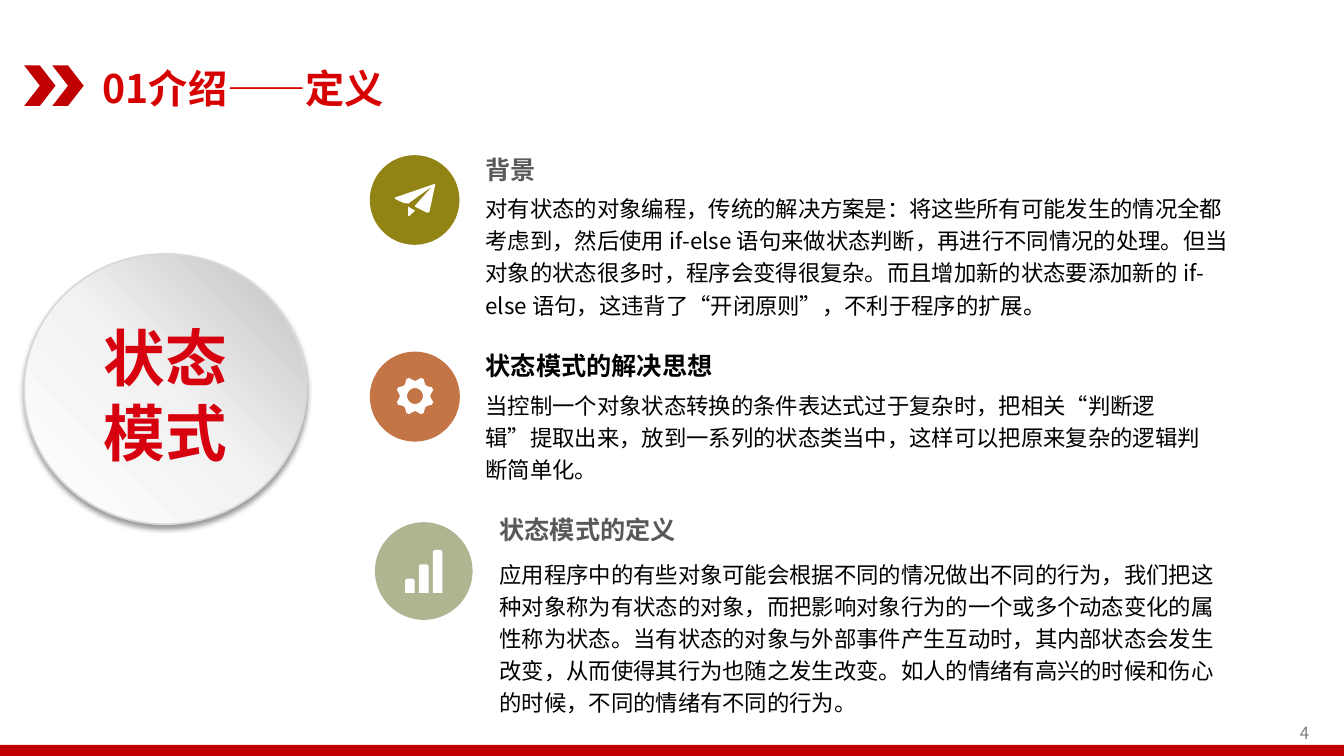
from copy import deepcopy
from math import cos, sin, radians
from pptx import Presentation
from pptx.dml.color import RGBColor
from pptx.enum import shapes, text
from pptx.oxml import parse_xml
from pptx.oxml.ns import qn, nsdecls
from pptx.util import Cm, Pt

SANS = "Noto Sans CJK SC"
KIND = shapes.MSO_SHAPE


def paint(shape, fill, line=None):
    """Give a shape a flat fill, an optional outline and no shadow."""
    shape.shadow.inherit = False
    shape.fill.solid()
    shape.fill.fore_color.rgb = RGBColor.from_string(fill)
    if line:
        shape.line.color.rgb = RGBColor.from_string(line)
    else:
        shape.line.fill.background()
    return shape


def write(shape, words, size, color, bold=False, pitch=None, face=SANS):
    """Put one wrapped paragraph into a shape and style it."""
    frame = shape.text_frame
    frame.word_wrap = True
    para = frame.paragraphs[0]
    para.text = words
    if pitch:
        para.line_spacing = Pt(pitch)
    font = para.font
    font.size, font.bold, font.name = Pt(size), bold, face
    font.color.rgb = RGBColor.from_string(color)
    east = parse_xml(f'<a:ea {nsdecls("a")} typeface="{SANS}"/>')
    font._element.append(east)
    return para


deck = Presentation()
deck.slide_width, deck.slide_height = Cm(33.87), Cm(19.05)
items = deck.slides.add_slide(deck.slide_layouts[6]).shapes

# Footer
page = items.add_textbox(Cm(32.51), Cm(18.08), Cm(1.3), Cm(0.74))
write(page, "4", 12, "808080")
paint(items.add_shape(KIND.RECTANGLE, 0, Cm(18.77), Cm(33.87), Cm(0.28)), "C00000")

# Title with its two chevrons
for left in (0.61, 1.32):
    paint(items.add_shape(KIND.CHEVRON, Cm(left), Cm(1.65), Cm(0.79), Cm(1.02)), "C00000")
title = items.add_textbox(Cm(2.34), Cm(1.42), Cm(23.39), Cm(1.45))
write(title, "01介绍——定义", 28, "D70000", True, 36)

# Large topic disc with gradient and soft shadow
topic = items.add_shape(KIND.OVAL, Cm(0.61), Cm(6.4), Cm(7.11), Cm(6.81))
paint(topic, "FFFFFF", "D9D9D9")
topic.line.width = Pt(1.25)
topic.fill.gradient()
topic.fill.gradient_angle = 45
props = topic._element.spPr
stops = props.find(".//" + qn("a:gsLst"))
stops.insert(1, deepcopy(stops[0]))
shades = ((0, "FFFFFF"), (0.5, "F2F2F2"), (1, "BFBFBF"))
for stop, (place, shade) in zip(topic.fill.gradient_stops, shades):
    stop.position = place
    stop.color.rgb = RGBColor.from_string(shade)
props.find(qn("a:effectLst")).append(parse_xml(
    f'<a:outerShdw {nsdecls("a")} blurRad="50800" dist="38100" dir="5400000" '
    'algn="t" rotWithShape="0"><a:srgbClr val="000000"><a:alpha val="40000"/>'
    '</a:srgbClr></a:outerShdw>'))
write(topic, "状态模式", 44, "D7000F", True, 53).alignment = text.PP_ALIGN.CENTER
topic.text_frame.vertical_anchor = text.MSO_ANCHOR.MIDDLE
topic.text_frame.margin_top = Cm(0.38)

# Icon outlines, each a list of closed loops in centimetres
plane = [
    [(10.94, 4.64), (9.95, 4.98), (9.95, 5.01), (10.16, 5.11), (10.29, 5.13),
     (10.9, 4.69), (10.46, 5.18), (10.46, 5.21), (10.76, 5.36), (10.82, 5.35),
     (10.97, 4.65)],
    [(10.29, 5.21), (10.29, 5.44), (10.32, 5.44), (10.46, 5.31)],
]
wheel = [(turn + step, size) for turn in range(0, 360, 45)
         for step, size in ((-18, 0.48), (-9, 0.41), (0, 0.38), (9, 0.41), (18, 0.48))]
hole = [(turn, 0.2) for turn in range(0, 360, 10)]
gear = [[(10.46 + size * cos(radians(turn)), 9.98 + size * sin(radians(turn)))
         for turn, size in ring] for ring in (wheel, hole)]
bars = []
for step in range(3):
    left, top = 10.21 + 0.35 * step, 14.58 - 0.36 * step
    right, base, cut = left + 0.24, 14.94, 0.04
    bars.append([(left, base), (left, top + cut), (left + cut, top),
                 (right - cut, top), (right, top + cut), (right, base)])

# Rows: disc (left, top, size, colour), icon, text left and width,
# heading (top, colour, face, words), body (top, height, words)
rows = [
    ((9.32, 3.91, 2.26, "918415"), plane, 11.99, 19.28,
     (3.71, "595959", "Arial", "背景"),
     (4.67, 3.53, "对有状态的对象编程，传统的解决方案是：将这些所有可能发生的情况全都"
      "考虑到，然后使用 if-else 语句来做状态判断，再进行不同情况的处理。但"
      "当对象的状态很多时，程序会变得很复杂。而且增加新的状态要添加新的 "
      "if-else 语句，这违背了“开闭原则”，不利于程序的扩展。")),
    ((9.32, 8.86, 2.27, "C47546"), gear, 11.99, 19.07,
     (8.66, "000000", "Calibri", "状态模式的解决思想"),
     (9.62, 2.72, "当控制一个对象状态转换的条件表达式过于复杂时，把相关“判断逻"
      "辑”提取出来，放到一系列的状态类当中，这样可以把原来复杂的逻辑判"
      "断简单化。")),
    ((9.45, 13.16, 2.46, "AFB591"), bars, 12.34, 18.9,
     (12.8, "595959", "Calibri", "状态模式的定义"),
     (13.88, 4.37, "应用程序中的有些对象可能会根据不同的情况做出不同的行为，我们把这"
      "种对象称为有状态的对象，而把影响对象行为的一个或多个动态变化的属"
      "性称为状态。当有状态的对象与外部事件产生互动时，其内部状态会发生"
      "改变，从而使得其行为也随之发生改变。如人的情绪有高兴的时候和伤心"
      "的时候，不同的情绪有不同的行为。")),
]
for disc, icon, left, width, head, body in rows:
    x, y, size, color = disc
    paint(items.add_shape(KIND.OVAL, Cm(x), Cm(y), Cm(size), Cm(size)), color)

    pen = None
    for loop in icon:
        spots = [(Cm(x), Cm(y)) for x, y in loop]
        if pen:
            pen.move_to(*spots[0])
        else:
            pen = items.build_freeform(*spots[0])
        pen.add_line_segments(spots[1:], close=True)
    paint(pen.convert_to_shape(), "FFFFFF")

    top, color, face, words = head
    box = items.add_textbox(Cm(left), Cm(top), Cm(width), Cm(1.02))
    write(box, words, 18, color, True, 22.9, face)
    top, height, words = body
    box = items.add_textbox(Cm(left), Cm(top), Cm(width), Cm(height))
    write(box, words, 16, "000000", pitch=22.9)

deck.save("out.pptx")
